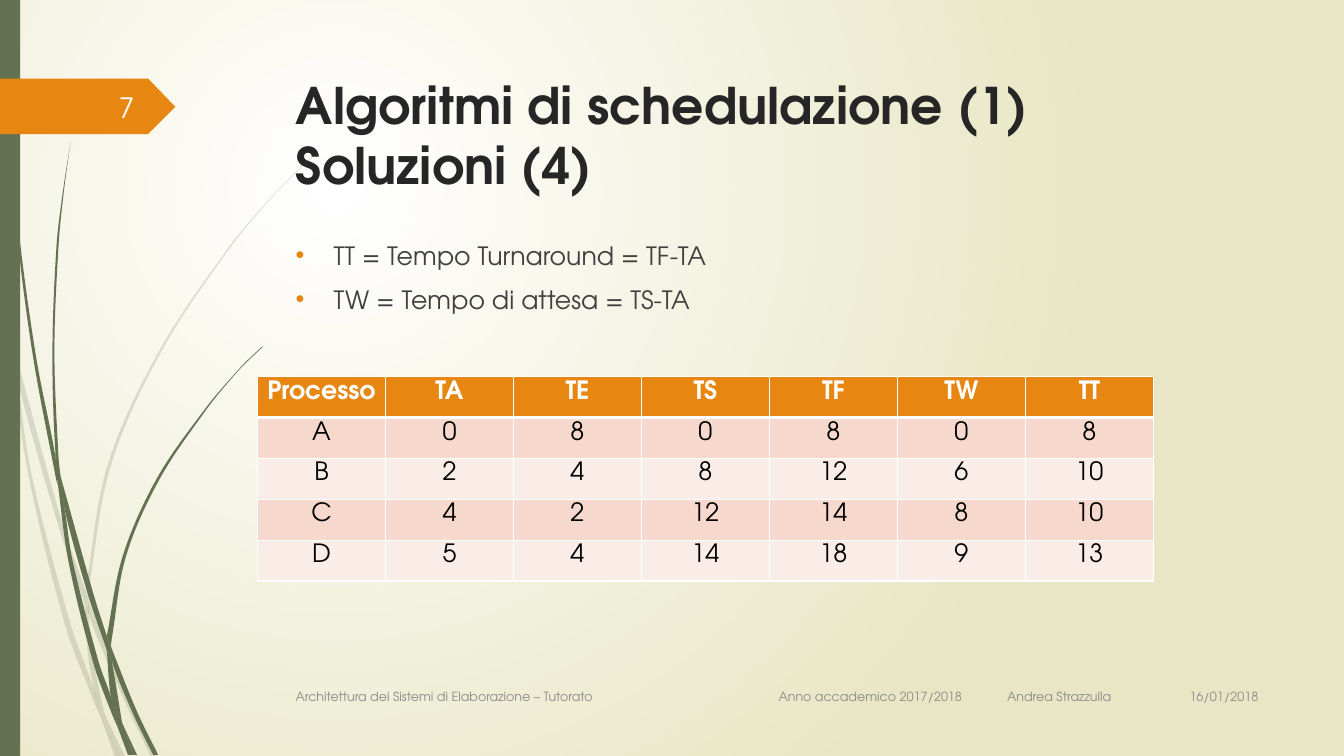
from lxml import etree
from pptx import Presentation
from pptx import util as u
from pptx.dml.color import RGBColor
from pptx.enum import shapes, text
from pptx.oxml import ns

FONT = "TeX Gyre Adventor"
GREEN, ORANGE, WHITE, GREY = "647252", "E78712", "FFFFFF", "8C8C8C"
INCH = 2.54


def color(value):
    return RGBColor.from_string(value)


def write(paragraph, content, size, hue, bold=False, align=text.PP_ALIGN.LEFT):
    paragraph.text = content
    paragraph.alignment = align
    for run in paragraph.runs:
        for key, value in {"name": FONT, "size": u.Pt(size), "bold": bold}.items():
            setattr(run.font, key, value)
        run.font.color.rgb = color(hue)


deck = Presentation()
deck.slide_width, deck.slide_height = u.Cm(33.87), u.Cm(19.05)
slide = deck.slides.add_slide(deck.slide_layouts[6])

# Background: circular gradient centred in the upper left
backdrop = slide.background.fill
backdrop.gradient()
for stop, hue, position in zip(backdrop.gradient_stops, (WHITE, "E8E6C4"), (0, 1)):
    stop.color.rgb = color(hue)
    stop.position = position
linear = slide.element.find(".//" + ns.qn("a:lin"))
circle = etree.Element(ns.qn("a:path"), path="circle")
etree.SubElement(circle, ns.qn("a:fillToRect"), l="50000", t="50000", r="100000", b="100000")
linear.getparent().replace(linear, circle)

# Side bar
bar = slide.shapes.add_shape(shapes.MSO_SHAPE.RECTANGLE, 0, 0, u.Cm(.51), u.Cm(19.05))
bar.shadow.inherit = False
bar.line.fill.background()
bar.fill.solid()
bar.fill.fore_color.rgb = color(GREEN)

# Grass and arrow: each outline is a list of smooth edges, in inches, joined at corners
pale_grass = [
    [[(.11, 3.5), (.09, 3.22), (0, 2.82)], [(0, 2.99), (.1, 3.44)]],
    [[(.14, 3.45), (.17, 3.76), (.58, 5.22), (.84, 5.99)], [(.85, 5.86), (.62, 5.2), (.14, 3.45)]],
    [[(.88, 5.96), (.88, 6.1), (1.23, 6.94), (1.5, 7.51)],
     [(1.55, 7.51), (1.27, 6.92), (.92, 6.07), (.88, 5.96)]],
    [[(1.05, 7.11), (1.19, 7.51)], [(1.24, 7.51), (1.05, 7.11)]],
    [[(.11, 3.5), (.28, 4.7), (.65, 6.21), (.92, 6.93), (1.01, 7.14)],
     [(.99, 7.07), (.93, 6.83), (.7, 6.19), (.31, 4.69), (.17, 3.76), (.11, 3.5)]],
    [[(.84, 5.99), (.87, 6.46), (.93, 6.83), (.96, 6.92), (1.05, 7.11)],
     [(1.03, 7.06), (.91, 6.46), (.88, 6.1), (.88, 6.08), (.84, 5.99)]],
    [[(.88, 5.84), (1.1, 4.62), (1.6, 3.49), (2.29, 2.45), (2.68, 1.98), (2.9, 1.75), (3.12, 1.54)],
     [(3.12, 1.53), (2.89, 1.75), (2.68, 1.97), (2.28, 2.44), (1.58, 3.48), (1.07, 4.61), (.85, 5.84)],
     [(.88, 5.96)]],
    [[(1.01, 7.14), (1.14, 7.51)], [(1.19, 7.51), (1.01, 7.14)]],
    [[(.88, 6.08), (.88, 6.1), (.88, 5.96)], [(.85, 5.86), (.84, 5.99)]],
    [[(.93, 6.83), (.99, 7.07), (1.01, 7.14), (1.19, 7.51)], [(1.05, 7.11), (.96, 6.92), (.93, 6.83)]],
]
dark_grass = [
    [[(.04, 0), (.05, .48), (.08, 1.09), (.19, 2.32), (.36, 3.55), (.55, 4.53), (.57, 4.81)],
     [(.56, 4.77), (.33, 3.55), (.17, 2.33), (.07, 1.1), (.04, .48), (.03, 0)]],
    [[(.6, 4.72), (.64, 5.05), (.88, 5.92), (1.06, 6.45)], [(1.06, 6.31), (.93, 5.9), (.6, 4.72)]],
    [[(1.1, 6.41), (1.11, 6.56), (1.32, 7.08), (1.52, 7.49)],
     [(1.57, 7.49), (1.36, 7.06), (1.13, 6.49), (1.1, 6.41)]],
    [[(.57, 4.77), (.68, 5.57), (.93, 6.59), (1.11, 7.08), (1.17, 7.22)],
     [(1.16, 7.17), (1.1, 6.91), (.98, 6.57), (.72, 5.56), (.64, 5.05), (.57, 4.77)]],
    [[(.6, 4.72), (.58, 4.53), (.54, 3.49), (.58, 2.45), (.63, 1.93), (.7, 1.41)],
     [(.7, 1.41), (.62, 1.93), (.56, 2.45), (.52, 3.49), (.55, 4.49), (.6, 4.72)]],
    [[(1.22, 7.19), (1.33, 7.49)], [(1.36, 7.49), (1.22, 7.19)]],
    [[(.55, 4.49), (.55, 4.53), (.57, 4.77), (.64, 5.05)], [(.6, 4.72), (.55, 4.49)]],
    [[(1.11, 6.33), (1.25, 5.52), (1.58, 4.76), (2.05, 4.06), (2.31, 3.74), (2.45, 3.59), (2.61, 3.44)],
     [(2.6, 3.44), (2.45, 3.58), (2.31, 3.73), (2.04, 4.05), (1.56, 4.74), (1.22, 5.51), (1.06, 6.31)],
     [(1.1, 6.41)]],
    [[(1.17, 7.22), (1.27, 7.49)], [(1.31, 7.49), (1.17, 7.22)]],
    [[(1.06, 6.45), (1.1, 6.91), (1.16, 7.06), (1.22, 7.19)],
     [(1.21, 7.16), (1.11, 6.56), (1.09, 6.51), (1.06, 6.45)]],
    [[(1.06, 6.31), (1.06, 6.45)], [(1.09, 6.51), (1.11, 6.56)], [(1.1, 6.41), (1.06, 6.31)]],
    [[(1.1, 6.91), (1.16, 7.17), (1.17, 7.22), (1.3, 7.49)],
     [(1.33, 7.49), (1.22, 7.19), (1.16, 7.06), (1.1, 6.91)]],
]
arrow = [[(0, .78)], [(1.47, .78)], [(1.74, 1.06)], [(1.47, 1.33)], [(0, 1.33)]]
for layer, outlines, hue, opacity in [
    (slide.shapes.add_group_shape().shapes, pale_grass, GREEN, 20),
    (slide.shapes.add_group_shape().shapes, dark_grass, GREEN, 100),
    (slide.shapes, [arrow], ORANGE, 100),
]:
    for edges in outlines:
        corners = [(u.Cm(x * INCH), u.Cm(y * INCH)) for edge in edges for x, y in edge]
        builder = layer.build_freeform(*corners[0])
        builder.add_line_segments(corners[1:])
        piece = builder.convert_to_shape()
        piece.shadow.inherit = False
        piece.line.fill.background()
        piece.fill.solid()
        piece.fill.fore_color.rgb = color(hue)
        if opacity < 100:
            tint = piece.element.spPr.find(".//" + ns.qn("a:srgbClr"))
            etree.SubElement(tint, ns.qn("a:alpha"), val=str(opacity * 1000))
        # Bend the straight segments inside each edge
        strokes = [point.getparent() for point in piece.element.iter(ns.qn("a:pt"))]
        knots = [complex(int(stroke[0].get("x")), int(stroke[0].get("y"))) for stroke in strokes]
        start = 0
        for edge in edges:
            end = start + len(edge) - 1
            for i in range(start, end):
                here, there = knots[i], knots[i + 1]
                before, after = knots[max(i - 1, start)], knots[min(i + 2, end)]
                reach = abs(there - here) / 3
                leave, arrive = there - before, after - here
                handles = [here + leave / (abs(leave) or 1) * reach,
                           there - arrive / (abs(arrive) or 1) * reach, there]
                bend = etree.Element(ns.qn("a:cubicBezTo"))
                for handle in handles:
                    etree.SubElement(bend, ns.qn("a:pt"),
                                     x=str(round(handle.real)), y=str(round(handle.imag)))
                strokes[i + 1].getparent().replace(strokes[i + 1], bend)
            start = end + 1

# Title, definitions, footer, date and page number
RIGHT, TOP, MIDDLE = text.PP_ALIGN.RIGHT, text.MSO_ANCHOR.TOP, text.MSO_ANCHOR.MIDDLE
footer = "Architettura dei Sistemi di Elaborazione – Tutorato\tAnno accademico 2017/2018\tAndrea Strazzulla"
definitions = ["TT = Tempo Turnaround = TF-TA", "TW = Tempo di attesa = TS-TA"]
for box, anchor, lines, style in [
    ((7.21, 1.74, 24.77, 3.56), TOP, ["Algoritmi di schedulazione (1)\vSoluzioni (4)"],
     {"size": 36, "hue": "262626", "bold": True}),
    ((7.2, 5.92, 24.77, 3.56), TOP, definitions, {"size": 18, "hue": "404040"}),
    ((7.2, 17.04, 21.16, 1.02), MIDDLE, [footer], {"size": 9, "hue": GREY}),
    ((28.78, 17.02, 3.18, 1.04), MIDDLE, ["16/01/2018"], {"size": 9, "hue": GREY, "align": RIGHT}),
    ((1.48, 2.19, 2.16, 1.02), MIDDLE, ["7"], {"size": 20, "hue": "FEFFFF", "align": RIGHT}),
]:
    frame = slide.shapes.add_textbox(*map(u.Cm, box)).text_frame
    frame.word_wrap = True
    frame.vertical_anchor = anchor
    for index, line in enumerate(lines):
        paragraph = frame.add_paragraph() if index else frame.paragraphs[0]
        if index:
            paragraph.space_before = u.Pt(10)
        props = paragraph._p.get_or_add_pPr()
        if lines is definitions:
            props.set("marL", str(u.Cm(.96)))
            props.set("indent", str(u.Cm(-.96)))
            bullet_color = etree.SubElement(props, ns.qn("a:buClr"))
            etree.SubElement(bullet_color, ns.qn("a:srgbClr"), val=ORANGE)
            etree.SubElement(props, ns.qn("a:buFont"), typeface="Arial")
            etree.SubElement(props, ns.qn("a:buChar"), char="•")
        if line is footer:
            tabs = etree.SubElement(props, ns.qn("a:tabLst"))
            for stop in (12.17, 17.93):
                etree.SubElement(tabs, ns.qn("a:tab"), pos=str(u.Cm(stop)), algn="l")
        write(paragraph, line, **style)

# Schedule table
schedule = ["Processo TA TE TS TF TW TT", "A 0 8 0 8 0 8", "B 2 4 8 12 6 10",
            "C 4 2 12 14 8 10", "D 5 4 14 18 9 13"]
table = slide.shapes.add_table(5, 7, u.Cm(6.49), u.Cm(9.49), u.Cm(22.58), u.Cm(5.15)).table
for r, process in enumerate(schedule):
    header = r == 0
    for c, value in enumerate(process.split()):
        cell = table.cell(r, c)
        for side in ("left", "right", "top", "bottom"):
            setattr(cell, f"margin_{side}", u.Cm(.1))
        cell.fill.solid()
        cell.fill.fore_color.rgb = color(ORANGE if header else ("FAEDE7", "F6D9CC")[r % 2])
        write(cell.text_frame.paragraphs[0], value, 18, WHITE if header else "000000",
              header, text.PP_ALIGN.CENTER)
        for order, side in enumerate("LRTB"):
            thick = (side, r) in (("B", 0), ("T", 1))
            border = etree.Element(ns.qn(f"a:ln{side}"), w=str(u.Pt(3 if thick else 1)))
            paint = etree.SubElement(border, ns.qn("a:solidFill"))
            etree.SubElement(paint, ns.qn("a:srgbClr"), val=WHITE)
            cell._tc.get_or_add_tcPr().insert(order, border)

deck.save("out.pptx")
